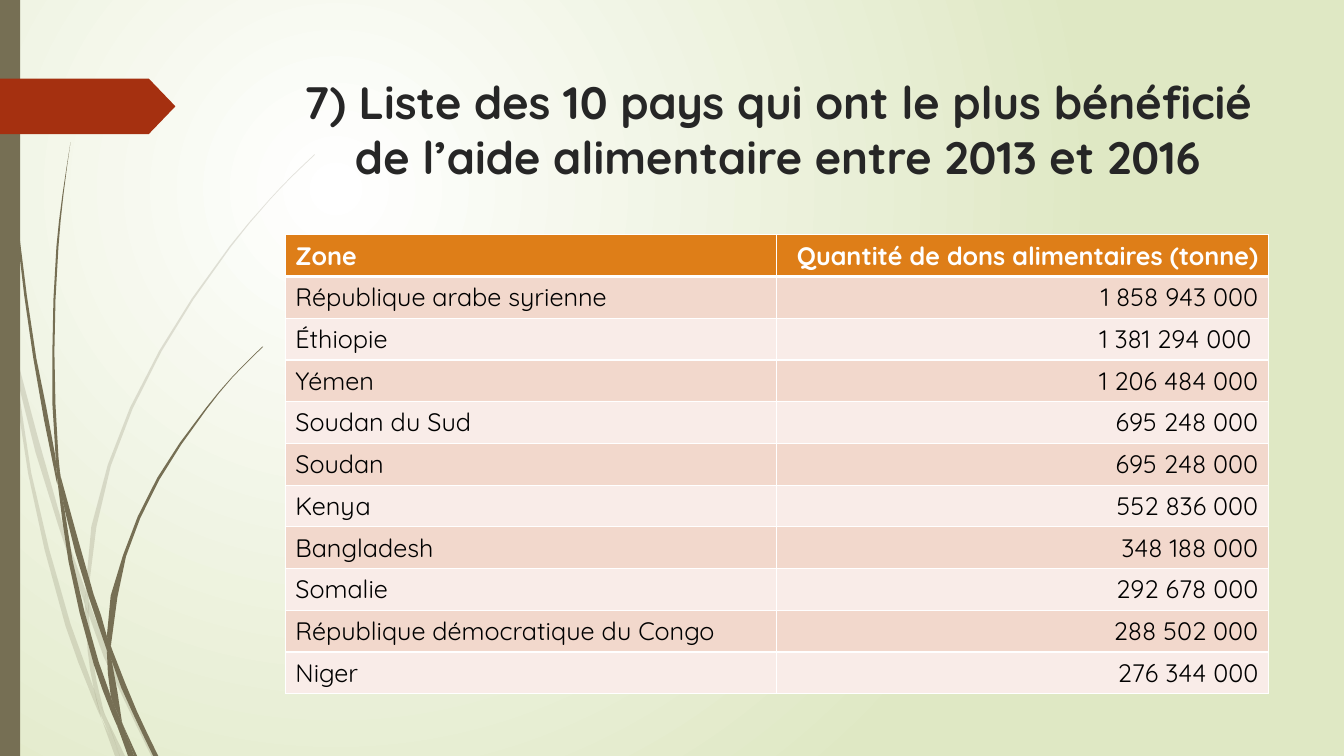
from typing import NamedTuple

from lxml.etree import SubElement
from pptx import Presentation
from pptx.dml.color import RGBColor
from pptx.enum.shapes import MSO_SHAPE as Preset
from pptx.enum.text import MSO_ANCHOR as Anchor, MSO_AUTO_SIZE as AutoSize, PP_ALIGN as Align
from pptx.oxml.ns import qn
from pptx.util import Inches, Pt

# The slide is a grid of unit cells
GRID_COLUMNS, GRID_ROWS = 13.33, 7.5
SLIDE_WIDTH, SLIDE_HEIGHT = Inches(13.33), Inches(7.5)
FONT = "Quicksand"
STEM, RIBBON, HEADER = "766F54", "A53010", "DE7E18"
BANDS = ("F2D8CC", "F9ECE8")
CURVE_STEPS = 2

Point = tuple[float, float]


class Blade(NamedTuple):
    """A piece of grass: both edges from top to bottom, as columns and rows."""
    left: list[Point]
    right: list[Point]


class Aid(NamedTuple):
    zone: str
    tonnes: str


PALE_GRASS = [
    Blade([(0, 2.99), (0.1, 3.44), (0.11, 3.5)], [(0, 2.82), (0.09, 3.22), (0.11, 3.5)]),
    Blade([(0.14, 3.45), (0.17, 3.76), (0.58, 5.22), (0.84, 5.99)],
          [(0.14, 3.45), (0.62, 5.2), (0.85, 5.86)]),
    Blade([(0.88, 5.96), (0.88, 6.1), (1.23, 6.94), (1.5, 7.5)],
          [(0.88, 5.96), (0.92, 6.07), (1.27, 6.92), (1.55, 7.5)]),
    Blade([(1.05, 7.11), (1.19, 7.5)], [(1.05, 7.11), (1.24, 7.5)]),
    Blade([(0.11, 3.5), (0.28, 4.7), (0.65, 6.21), (0.92, 6.93), (1.01, 7.14)],
          [(0.11, 3.5), (0.17, 3.76), (0.31, 4.69), (0.7, 6.19), (0.93, 6.83), (1.01, 7.14)]),
    Blade([(0.84, 5.99), (0.87, 6.46), (0.93, 6.83), (0.96, 6.92), (1.05, 7.11)],
          [(0.84, 5.99), (0.88, 6.1), (0.91, 6.46), (1.03, 7.06), (1.05, 7.11)]),
    Blade([(3.12, 1.53), (2.89, 1.75), (2.68, 1.97), (2.28, 2.44), (1.58, 3.48), (1.07, 4.61),
           (0.85, 5.84), (0.88, 5.96)],
          [(3.12, 1.54), (2.9, 1.75), (2.68, 1.98), (2.29, 2.45), (1.6, 3.49), (1.1, 4.62),
           (0.88, 5.84), (0.88, 5.96)]),
    Blade([(1.01, 7.14), (1.14, 7.5)], [(1.01, 7.14), (1.19, 7.5)]),
    Blade([(0.85, 5.86), (0.84, 5.99), (0.88, 6.1)], [(0.85, 5.86), (0.88, 5.96), (0.88, 6.1)]),
    Blade([(0.93, 6.83), (0.99, 7.07), (1.19, 7.5)],
          [(0.93, 6.83), (0.96, 6.92), (1.05, 7.11), (1.19, 7.5)]),
]
DARK_GRASS = [
    Blade([(0.03, 0), (0.07, 1.1), (0.17, 2.33), (0.33, 3.55), (0.56, 4.77), (0.57, 4.81)],
          [(0.04, 0), (0.08, 1.09), (0.19, 2.32), (0.36, 3.55), (0.55, 4.53), (0.57, 4.81)]),
    Blade([(0.6, 4.72), (0.64, 5.05), (0.88, 5.92), (1.06, 6.45)],
          [(0.6, 4.72), (0.93, 5.9), (1.06, 6.31), (1.06, 6.45)]),
    Blade([(1.1, 6.41), (1.11, 6.56), (1.32, 7.08), (1.52, 7.5)],
          [(1.1, 6.41), (1.13, 6.49), (1.36, 7.06), (1.57, 7.5)]),
    Blade([(0.57, 4.77), (0.68, 5.57), (0.93, 6.59), (1.11, 7.08), (1.17, 7.22)],
          [(0.57, 4.77), (0.64, 5.05), (0.72, 5.56), (0.98, 6.57), (1.1, 6.91), (1.17, 7.22)]),
    Blade([(0.7, 1.41), (0.62, 1.93), (0.56, 2.45), (0.52, 3.49), (0.55, 4.49), (0.6, 4.72)],
          [(0.7, 1.41), (0.63, 1.93), (0.58, 2.45), (0.54, 3.49), (0.58, 4.53), (0.6, 4.72)]),
    Blade([(1.22, 7.19), (1.33, 7.5)], [(1.22, 7.19), (1.36, 7.5)]),
    Blade([(0.55, 4.49), (0.57, 4.77), (0.64, 5.05)], [(0.55, 4.49), (0.6, 4.72), (0.64, 5.05)]),
    Blade([(2.6, 3.44), (2.31, 3.73), (2.04, 4.05), (1.56, 4.74), (1.22, 5.51), (1.06, 6.31),
           (1.1, 6.41)],
          [(2.61, 3.44), (2.31, 3.74), (2.05, 4.06), (1.58, 4.76), (1.25, 5.52), (1.11, 6.33),
           (1.1, 6.41)]),
    Blade([(1.17, 7.22), (1.27, 7.5)], [(1.17, 7.22), (1.31, 7.5)]),
    Blade([(1.06, 6.45), (1.1, 6.91), (1.16, 7.06), (1.22, 7.19)],
          [(1.06, 6.45), (1.11, 6.56), (1.21, 7.16), (1.22, 7.19)]),
    Blade([(1.06, 6.31), (1.06, 6.45), (1.11, 6.56)], [(1.06, 6.31), (1.1, 6.41), (1.11, 6.56)]),
    Blade([(1.1, 6.91), (1.17, 7.22), (1.3, 7.5)],
          [(1.1, 6.91), (1.16, 7.06), (1.22, 7.19), (1.33, 7.5)]),
]

HEADINGS = Aid("Zone", "Quantité de dons alimentaires (tonne)")
DONATIONS = [
    Aid("République arabe syrienne", "1 858 943 000"),
    Aid("Éthiopie", "1 381 294 000 "),
    Aid("Yémen", "1 206 484 000"),
    Aid("Soudan du Sud", "695 248 000"),
    Aid("Soudan", "695 248 000"),
    Aid("Kenya", "552 836 000"),
    Aid("Bangladesh", "348 188 000"),
    Aid("Somalie", "292 678 000"),
    Aid("République démocratique du Congo", "288 502 000"),
    Aid("Niger", "276 344 000"),
]


def column(count: float) -> int:
    return round(SLIDE_WIDTH * count / GRID_COLUMNS)


def row(count: float) -> int:
    return round(SLIDE_HEIGHT * count / GRID_ROWS)


def colour(code: str) -> RGBColor:
    return RGBColor.from_string(code)


def write(frame, text: str, *, size: float, ink: str, bold: bool = False,
          align: Align = Align.LEFT) -> None:
    para = frame.paragraphs[0]
    para.alignment, para.line_spacing = align, 1.0
    span = para.add_run()
    span.text = text
    font = span.font
    font.name, font.size, font.bold = FONT, Pt(size), bold
    font.color.rgb = colour(ink)


def paint(shape, code: str, opacity: int = 100) -> None:
    shape.shadow.inherit = False
    shape.line.fill.background()
    shape.fill.solid()
    shape.fill.fore_color.rgb = colour(code)
    if opacity < 100:
        tint = shape.element.spPr.find(f"{qn('a:solidFill')}/{qn('a:srgbClr')}")
        SubElement(tint, qn("a:alpha"), val=str(opacity * 1000))


def smooth(edge: list[Point]) -> list[Point]:
    """Join the points with cubic curves, x being a function of y."""
    slopes = [(x2 - x1) / (y2 - y1) for (x1, y1), (x2, y2) in zip(edge, edge[1:])]
    inner = [(before + after) / 2 for before, after in zip(slopes, slopes[1:])]
    tangents = [slopes[0], *inner, slopes[-1]]
    curve = [edge[0]]
    for (x1, y1), (x2, y2), m1, m2 in zip(edge, edge[1:], tangents, tangents[1:]):
        height = y2 - y1
        for step in range(1, CURVE_STEPS + 1):
            t = step / CURVE_STEPS
            ease = t * t * (3 - 2 * t)
            bend = t * (1 - t) * ((1 - t) * m1 - t * m2) * height
            curve.append((x1 + (x2 - x1) * ease + bend, y1 + height * t))
    return curve


def draw_background(page) -> None:
    fill = page.background.fill
    fill.gradient()
    for stop, code in zip(fill.gradient_stops, ("FFFFFF", "DFE8C4")):
        stop.color.rgb = colour(code)
    gradient = page.element.xpath(".//p:bg//a:gradFill")[0]
    gradient.remove(gradient.find(qn("a:lin")))
    circle = SubElement(gradient, qn("a:path"), path="circle")
    SubElement(circle, qn("a:fillToRect"), l="50000", t="50000", r="100000", b="100000")


def draw_grass(page, blades: list[Blade], opacity: int) -> None:
    for blade in blades:
        outline = [(column(x), row(y)) for x, y in smooth(blade.left) + smooth(blade.right)[::-1]]
        builder = page.shapes.build_freeform(*outline[0])
        builder.add_line_segments(outline[1:], close=True)
        paint(builder.convert_to_shape(), STEM, opacity)


def draw_title(page) -> None:
    title = page.shapes.title
    page.shapes.element.append(title.element)  # in front of the grass
    title.left, title.top, title.width, title.height = column(2.84), row(0.69), column(9.75), row(1.4)
    frame = title.text_frame
    frame.word_wrap, frame.auto_size, frame.vertical_anchor = True, AutoSize.NONE, Anchor.TOP
    write(frame, "7) Liste des 10 pays qui ont le plus bénéficié de l’aide alimentaire entre 2013 et 2016",
          size=32.4, ink="262626", bold=True, align=Align.CENTER)


def format_cell(cell, code: str, bottom: float) -> None:
    cell.vertical_anchor = Anchor.MIDDLE
    properties = cell._tc.get_or_add_tcPr()
    for side, width in (("L", 1), ("R", 1), ("T", 1), ("B", bottom)):
        line = SubElement(properties, qn(f"a:ln{side}"), w=str(Pt(width)))
        SubElement(SubElement(line, qn("a:solidFill")), qn("a:srgbClr"), val="FFFFFF")
    cell.fill.solid()
    cell.fill.fore_color.rgb = colour(code)


def draw_table(page) -> None:
    lines = [HEADINGS, *DONATIONS]
    table = page.shapes.add_table(len(lines), len(HEADINGS), column(2.83), row(2.33),
                                  column(9.75), row(4.46)).table
    for index, aid in enumerate(lines):
        top = index == 0
        for cell, text, align in zip(table.rows[index].cells, aid, (Align.LEFT, Align.RIGHT)):
            format_cell(cell, HEADER if top else BANDS[(index - 1) % 2], 3 if top else 1)
            write(cell.text_frame, text, size=18, ink="FFFFFF" if top else "000000", bold=top, align=align)


def main() -> None:
    deck = Presentation()
    deck.slide_width, deck.slide_height = SLIDE_WIDTH, SLIDE_HEIGHT
    page = deck.slides.add_slide(deck.slide_layouts[5])
    # Backdrop: gradient, grass, side bar and ribbon
    draw_background(page)
    draw_grass(page, PALE_GRASS, 20)
    draw_grass(page, DARK_GRASS, 100)
    paint(page.shapes.add_shape(Preset.RECTANGLE, 0, 0, column(0.2), SLIDE_HEIGHT), STEM)
    ribbon = page.shapes.add_shape(Preset.PENTAGON, 0, row(0.78), column(1.74), row(0.55))
    ribbon.adjustments[0] = 0.48
    paint(ribbon, RIBBON)
    # Content
    draw_title(page)
    draw_table(page)
    deck.save("out.pptx")


if __name__ == "__main__":
    main()
